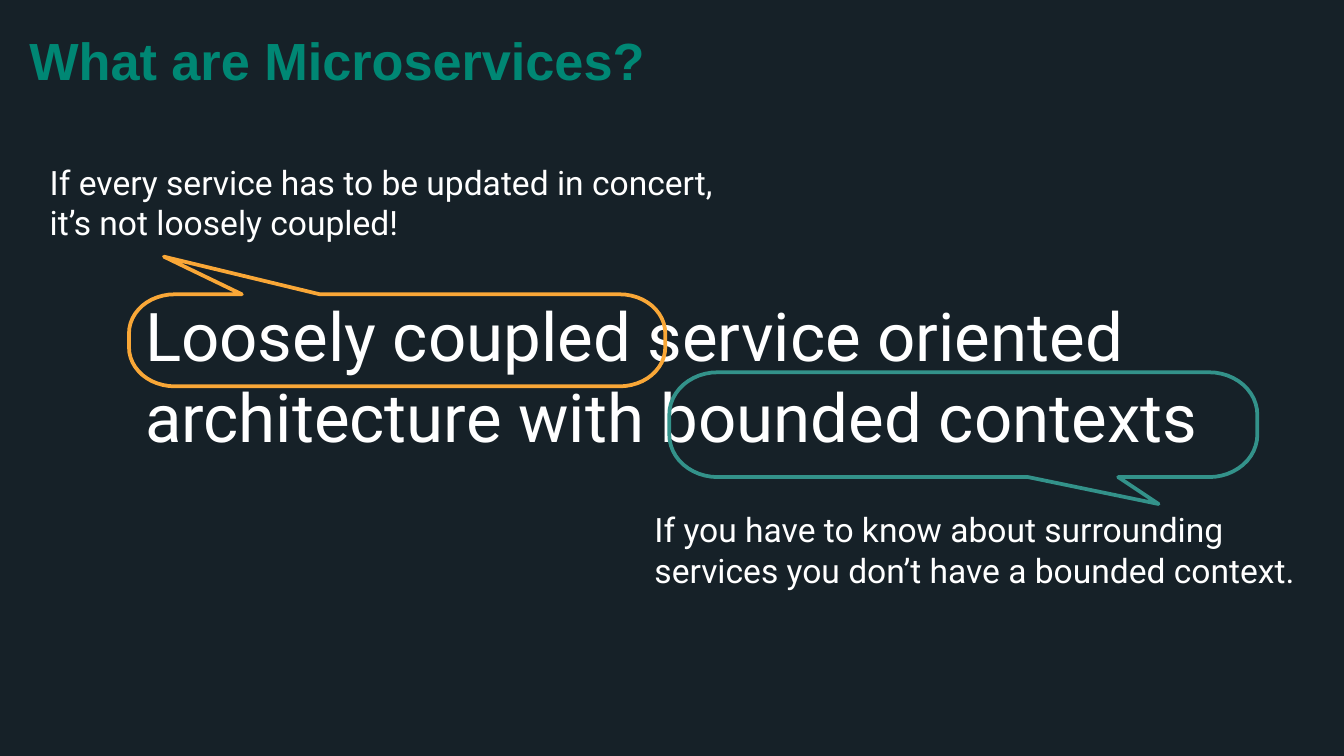
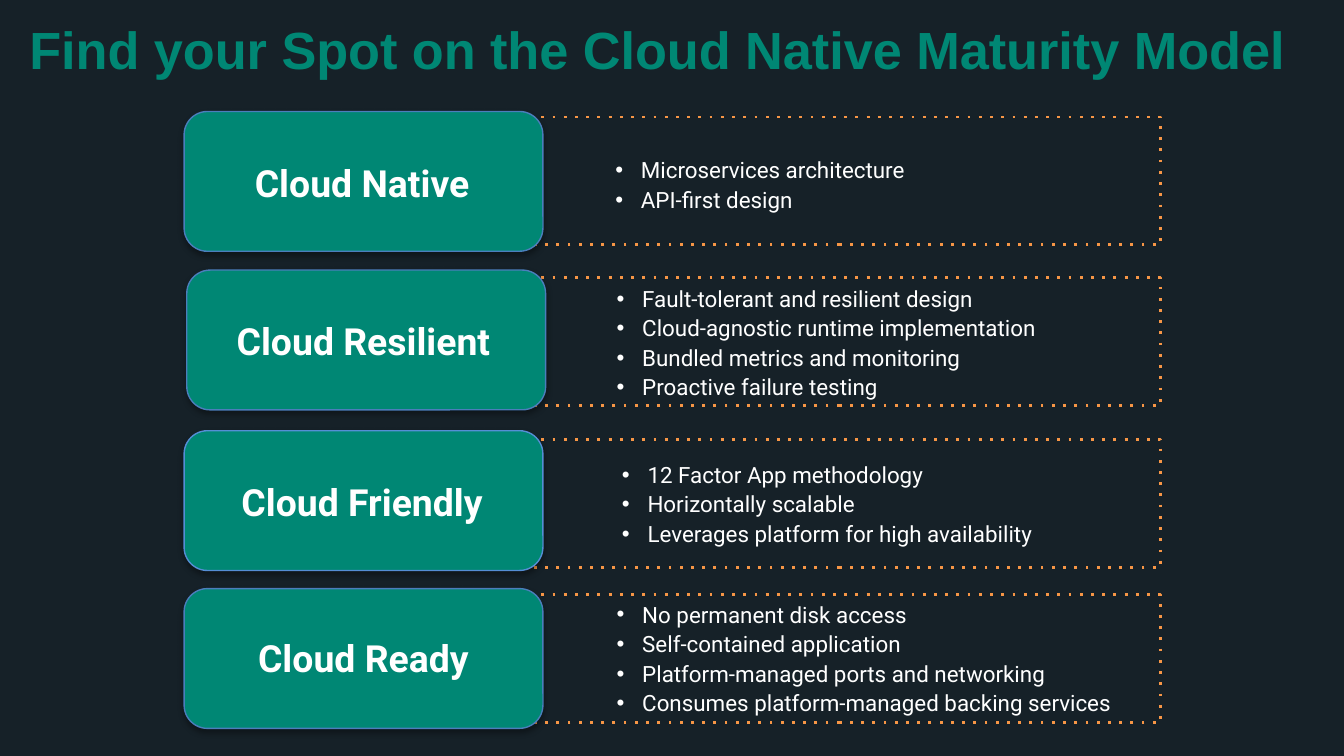
from dataclasses import dataclass
from math import cos, pi, sin

from lxml import etree
from pptx import Presentation
from pptx.dml.color import RGBColor
from pptx.enum.shapes import MSO_SHAPE
from pptx.enum.text import MSO_ANCHOR, PP_ALIGN
from pptx.oxml.ns import qn
from pptx.util import Pt

EMU_PER_PX = 4572  # 200 px to the inch
RECTANGLE = MSO_SHAPE.RECTANGLE
ROUNDED = MSO_SHAPE.ROUNDED_RECTANGLE
TOP, MIDDLE = MSO_ANCHOR.TOP, MSO_ANCHOR.MIDDLE
LEFT, CENTER = PP_ALIGN.LEFT, PP_ALIGN.CENTER
NO_INSETS = (0, 0, 0, 0)
INSETS = (20, 10, 20, 10)


@dataclass(frozen=True)
class Theme:
    background: str = "162128"
    accent: str = "008774"
    text: str = "FFFFFF"
    orange: str = "F9A737"
    teal: str = "33928A"
    frame: str = "F79646"
    card_edge: str = "4B7EBC"
    card_edge_light: str = "558ED5"
    shadow: str = "000000"
    title_font: str = "Arial"
    body_font: str = "Roboto"
    title_size: int = 28
    statement_size: int = 36
    remark_size: int = 18
    card_size: int = 20
    list_size: int = 12


@dataclass(frozen=True)
class Level:
    """One level of the maturity model, with the places of its parts."""
    name: str
    points: tuple
    card: tuple
    label: tuple
    frame_top: int
    listing: tuple
    edge: str = Theme.card_edge


LEVELS = (
    Level("Cloud Native",
          ("Microservices architecture", "API-first design"),
          (274, 166), (290, 184), 174, (896, 178, 830, 190)),
    Level("Cloud Resilient",
          ("Fault-tolerant and resilient design",
           "Cloud-agnostic runtime implementation",
           "Bundled metrics and monitoring",
           "Proactive failure testing"),
          (278, 402), (292, 420), 413, (898, 390, 846, 236)),
    Level("Cloud Friendly",
          ("12 Factor App methodology",
           "Horizontally scalable",
           "Leverages platform for high availability"),
          (274, 641), (290, 660), 654, (906, 653, 846, 190),
          Theme.card_edge_light),
    Level("Cloud Ready",
          ("No permanent disk access",
           "Self-contained application",
           "Platform-managed ports and networking",
           "Consumes platform-managed backing services"),
          (274, 876), (292, 892), 885, (898, 883, 846, 190)),
)


def px(*lengths):
    return [round(length * EMU_PER_PX) for length in lengths]


def add_xml(parent, tag, **attributes):
    return etree.SubElement(parent, qn(tag), {k: str(v) for k, v in attributes.items()})


class Deck:
    def __init__(self, theme, width, height):
        self.theme = theme
        self.presentation = Presentation()
        self.presentation.slide_width, self.presentation.slide_height = px(width, height)
        self.slide = None

    def new_slide(self):
        self.slide = self.presentation.slides.add_slide(self.presentation.slide_layouts[6])
        fill = self.slide.background.fill
        fill.solid()
        fill.fore_color.rgb = RGBColor.from_string(self.theme.background)

    def _write(self, paragraph, words, size, bold=False, color=None, font=None):
        run = paragraph.add_run()
        run.text = words
        run.font.size = Pt(size)
        run.font.bold = bold
        run.font.name = font or self.theme.body_font
        run.font.color.rgb = RGBColor.from_string(color or self.theme.text)

    def _style(self, shape, edge, width, fill=None):
        shape.shadow.inherit = False
        if fill:
            shape.fill.solid()
            shape.fill.fore_color.rgb = RGBColor.from_string(fill)
        else:
            shape.fill.background()
        shape.line.color.rgb = RGBColor.from_string(edge)
        shape.line.width = Pt(width)

    def _text_box(self, box, insets=INSETS, anchor=TOP):
        frame = self.slide.shapes.add_textbox(*px(*box)).text_frame
        frame.word_wrap = True
        frame.vertical_anchor = anchor
        (frame.margin_left, frame.margin_top,
         frame.margin_right, frame.margin_bottom) = px(*insets)
        return frame

    def title(self, words, top, height):
        frame = self._text_box((24, top, 1924, height))
        self._write(frame.paragraphs[0], words, self.theme.title_size, True,
                    self.theme.accent, self.theme.title_font)

    def text(self, words, box, size):
        frame = self._text_box(box, NO_INSETS)
        self._write(frame.paragraphs[0], words, size)

    def label(self, words, box):
        paragraph = self._text_box(box, anchor=MIDDLE).paragraphs[0]
        paragraph.alignment = CENTER
        self._write(paragraph, words, self.theme.card_size, True)

    def bullets(self, points, box):
        frame = self._text_box(box, anchor=MIDDLE)
        indent = px(38)[0]
        for index, point in enumerate(points):
            paragraph = frame.add_paragraph() if index else frame.paragraphs[0]
            properties = paragraph._p.get_or_add_pPr()
            properties.set("marL", str(indent))
            properties.set("indent", str(-indent))
            add_xml(properties, "a:buFont", typeface="Arial")
            add_xml(properties, "a:buChar", char="•")
            paragraph.alignment = LEFT
            paragraph.line_spacing = 1.1
            self._write(paragraph, point, self.theme.list_size)

    def dotted_frame(self, box):
        shape = self.slide.shapes.add_shape(RECTANGLE, *px(*box))
        self._style(shape, self.theme.frame, 1.5)
        add_xml(shape._element.spPr.find(qn("a:ln")), "a:prstDash", val="dot")

    def card(self, box, edge):
        shape = self.slide.shapes.add_shape(ROUNDED, *px(*box))
        self._style(shape, edge, 0.75, self.theme.accent)
        effects = shape._element.spPr.find(qn("a:effectLst"))
        shadow = add_xml(effects, "a:outerShdw", blurRad=Pt(3.1), dist=Pt(1.8),
                         dir=90 * 60000, rotWithShape=0)
        color = add_xml(shadow, "a:srgbClr", val=self.theme.shadow)
        add_xml(color, "a:alpha", val=35000)

    def callout(self, body, radii, color, top_tail=(), bottom_tail=()):
        """Outline a rounded body clockwise, with a pointer on its top or bottom edge."""
        left, top, right, bottom = body
        rx, ry = radii
        steps = 12

        def corner(x, y, quarter):
            angles = [(quarter + i / steps) * pi / 2 for i in range(steps + 1)]
            return [(x + rx * cos(a), y + ry * sin(a)) for a in angles]

        outline = [*corner(left + rx, top + ry, 2), *top_tail,
                   *corner(right - rx, top + ry, 3),
                   *corner(right - rx, bottom - ry, 0), *bottom_tail,
                   *corner(left + rx, bottom - ry, 1)]
        builder = self.slide.shapes.build_freeform(*px(*outline[0]), scale=1.0)
        builder.add_line_segments([px(*point) for point in outline[1:]], close=True)
        self._style(builder.convert_to_shape(), color, 2)

    def save(self):
        self.presentation.save("out.pptx")


def build_definition(deck):
    theme = deck.theme
    deck.new_slide()
    deck.text("Loosely coupled service oriented architecture with bounded contexts",
              (216, 438, 1650, 292), theme.statement_size)
    deck.callout((192, 438, 990, 575), (68, 58), theme.orange,
                 top_tail=[(360, 438), (244, 382), (476, 438)])
    deck.callout((996, 554, 1871, 710), (72, 63), theme.teal,
                 bottom_tail=[(1664, 710), (1724, 750), (1530, 710)])
    deck.text("If every service has to be updated in concert, it’s not loosely coupled!",
              (74, 241, 1022, 122), theme.remark_size)
    deck.text("If you have to know about surrounding services "
              "you don’t have a bounded context.",
              (974, 758, 1014, 122), theme.remark_size)
    deck.title("What are Microservices?", 32, 104)


def build_maturity_model(deck):
    deck.new_slide()
    deck.title("Find your Spot on the Cloud Native Maturity Model", 16, 122)
    for level in LEVELS:
        deck.dotted_frame((772, level.frame_top, 955, 190))
        deck.card((*level.card, 534, 208), level.edge)
        deck.label(level.name, (*level.label, 498, 174))
        deck.bullets(level.points, level.listing)


def main():
    deck = Deck(Theme(), 2000, 1125)
    build_definition(deck)
    build_maturity_model(deck)
    deck.save()


if __name__ == "__main__":
    main()
